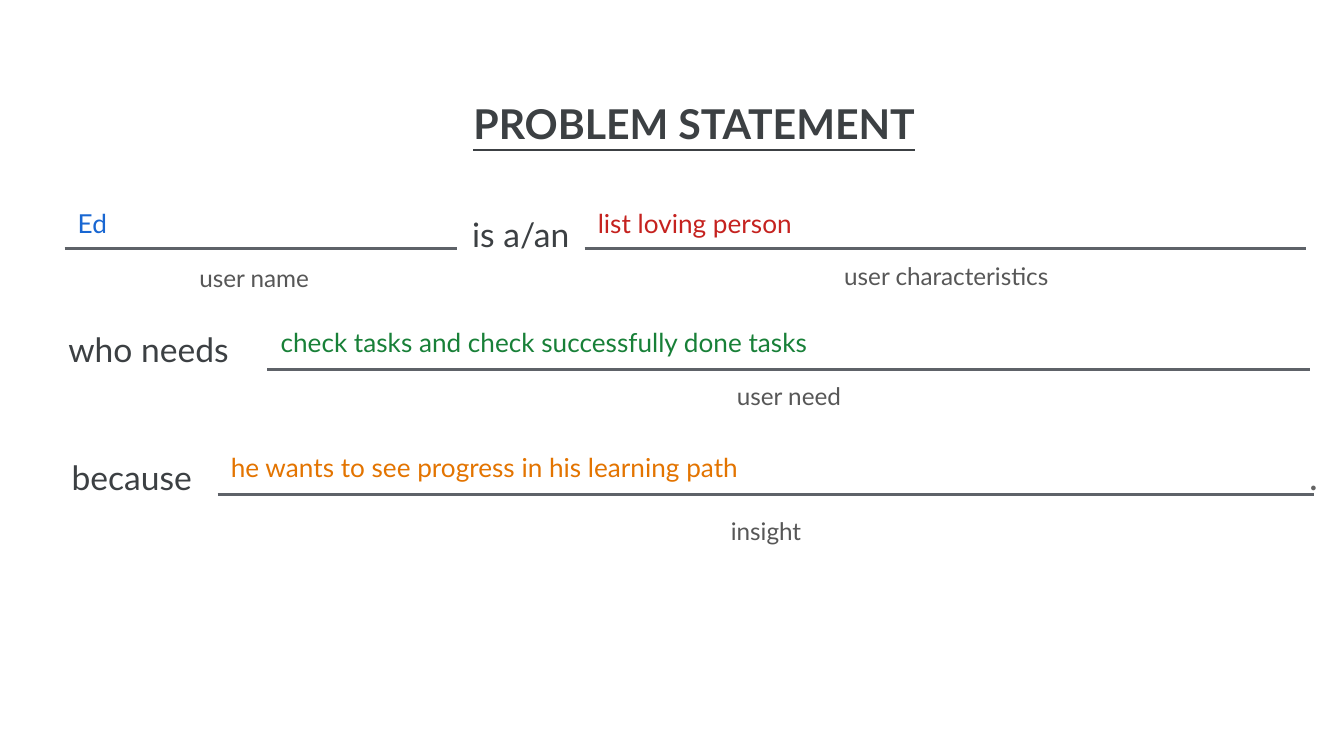
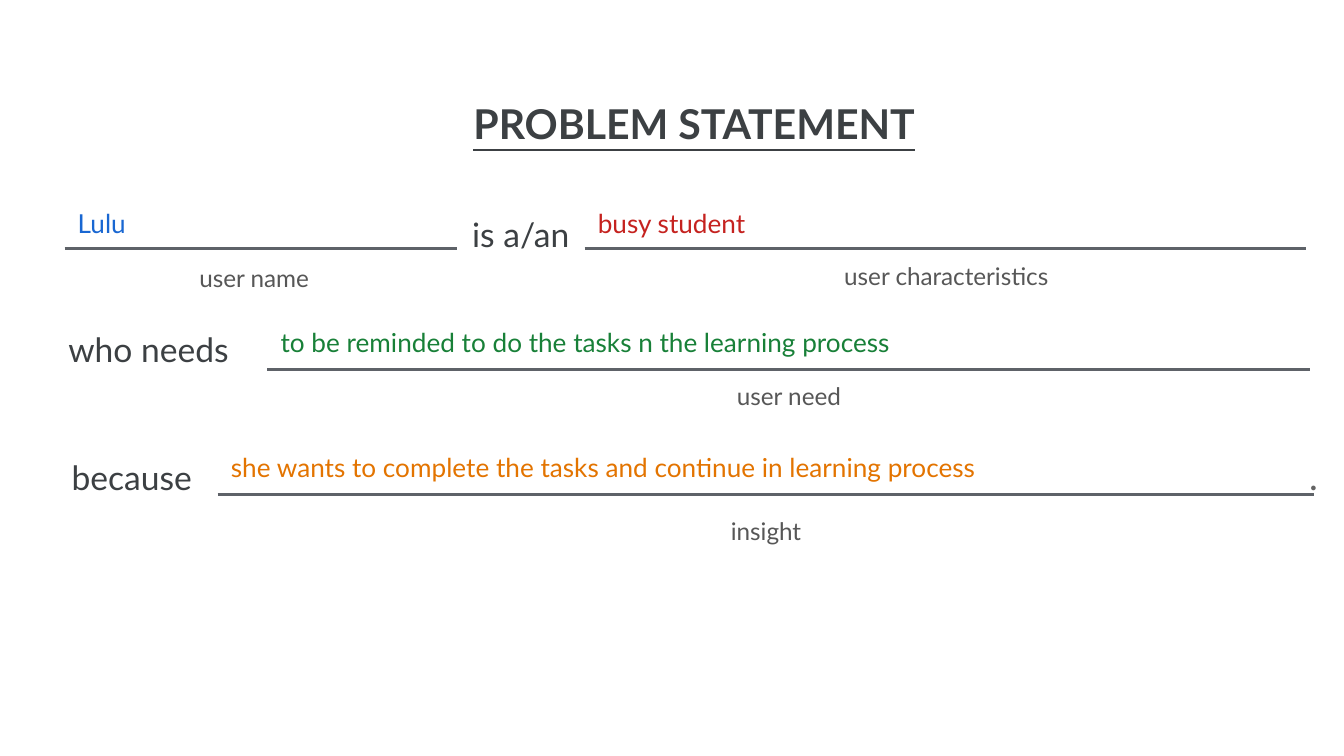
from pptx import Presentation
from pptx.dml.color import RGBColor
from pptx.enum.shapes import MSO_CONNECTOR
from pptx.enum.text import MSO_ANCHOR, MSO_AUTO_SIZE, PP_ALIGN as Align
from pptx.util import Inches, Pt
from lxml.etree import SubElement
from pptx.oxml.ns import qn

FONT = "Lato"
COLORS = {
    "ink": "3C4043", "hint": "575757", "stop": "646464", "rule": "5E6268",
    "name": "1967D2", "trait": "C5221F", "need": "188038", "insight": "E37400",
}

# Sentence frame: words, left, top, width, height, inset
CONNECTING_WORDS = [
    ("is a/an", 3.4, 1.54, 0.95, 0.4, 0.05),
    ("who needs", 0.09, 2.35, 2.03, 0.63, 0.1),
    ("because", 0.09, 3.3, 1.78, 0.54, 0.1),
]

# Blanks: part, left, right and height of the rule, answer top, hint and its box
BLANKS = [
    ("name", 0.48, 3.4, 1.85, 1.44, "user name", (0.43, 1.86, 2.92, 0.35)),
    ("trait", 4.35, 9.72, 1.85, 1.44, "user characteristics", (4.35, 1.84, 5.38, 0.35)),
    ("need", 1.99, 9.75, 2.75, 2.33, "user need", (1.99, 2.74, 7.76, 0.52)),
    ("insight", 1.62, 9.78, 3.68, 3.26, "insight", (1.62, 3.74, 8.16, 0.63)),
]

STATEMENTS = [
    {"name": "Ed",
     "trait": "list loving person",
     "need": "check tasks and check successfully done tasks",
     "insight": "he wants to see progress in his learning path"},
    {"name": "Lulu",
     "trait": "busy student",
     "need": "to be reminded to do the tasks n the learning process",
     "insight": "she wants to complete the tasks and continue in learning process"},
]


def write(shape, text, size, color, align=Align.CENTER, inset=0.1):
    """Fill a shape with one line of text and return its run's font."""
    frame = shape.text_frame
    frame.text = text
    frame.word_wrap = True
    frame.auto_size = MSO_AUTO_SIZE.NONE
    frame.vertical_anchor = MSO_ANCHOR.TOP
    frame.margin_left = frame.margin_right = Inches(inset)
    frame.margin_top = frame.margin_bottom = Inches(inset)
    line = frame.paragraphs[0]
    line.alignment = align
    font = line.runs[0].font
    font.name, font.size = FONT, Pt(size)
    font.color.rgb = RGBColor.from_string(COLORS[color])
    return font


def add_text(slide, box, *style, **options):
    write(slide.shapes.add_textbox(*map(Inches, box)), *style, **options)


# Widescreen page, 16:9
prs = Presentation()
prs.slide_width = Inches(10)
prs.slide_height = Inches(10 * 9 / 16)
title_only = prs.slide_layouts[5]

for statement in STATEMENTS:
    slide = prs.slides.add_slide(title_only)

    # Title
    title = slide.shapes.title
    title.left, title.top, title.width, title.height = map(Inches, (0.43, 0.63, 9.47, 0.54))
    heading = write(title, "PROBLEM STATEMENT", 22, "ink")
    heading.bold = heading.underline = True

    # Fixed words of the sentence
    for words, left, top, width, height, inset in CONNECTING_WORDS:
        add_text(slide, (left, top, width, height), words, 18, "ink", inset=inset)
    add_text(slide, (9.69, 3.32, 0.32, 0.44), ".", 20, "stop", align=Align.LEFT, inset=0.05)

    # Blanks with rule, hint and answer
    for part, left, right, y, answer_top, hint, hint_box in BLANKS:
        rule = slide.shapes.add_connector(
            MSO_CONNECTOR.STRAIGHT, Inches(left), Inches(y), Inches(right), Inches(y))
        rule.line.color.rgb = RGBColor.from_string(COLORS["rule"])
        rule.line.width = Pt(1.5)
        SubElement(rule._element.spPr, qn("a:effectLst"))

        add_text(slide, hint_box, hint, 13, "hint")
        add_text(slide, (left, answer_top, right - left, 0.42),
                 statement[part], 14, part, align=Align.LEFT)

prs.save("out.pptx")
